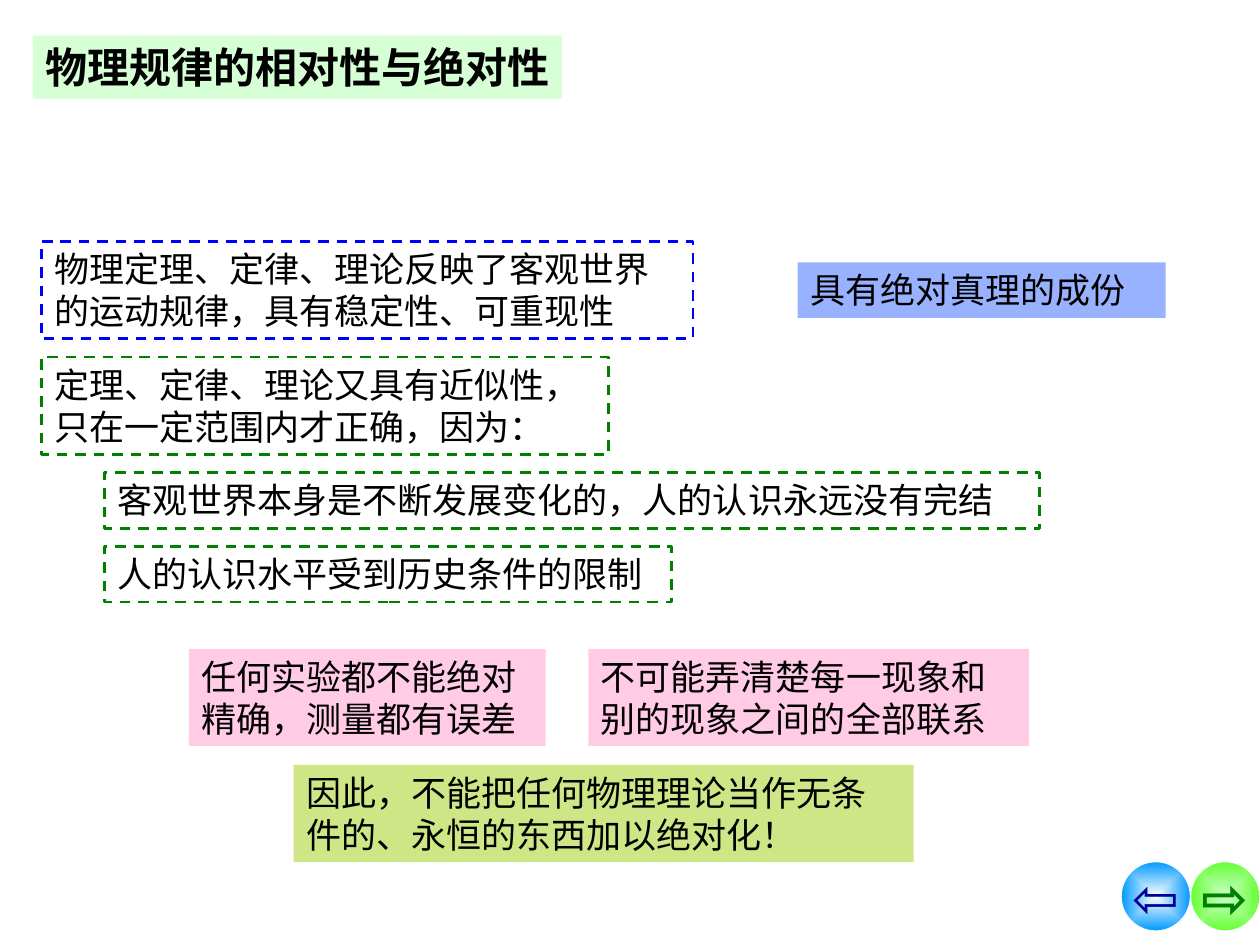
from lxml.etree import SubElement
from pptx import Presentation
from pptx.dml.color import RGBColor
from pptx.enum.dml import MSO_LINE
from pptx.enum.shapes import MSO_SHAPE
from pptx.enum.text import MSO_ANCHOR, PP_ALIGN
from pptx.oxml.ns import qn
from pptx.util import Cm, Pt

COLORS = {
    "black": "000000", "white": "FFFFFF", "mint": "CCFFCC", "lime": "66FF33",
    "sky": "0099FF", "navy": "000099", "blue": "0000FF", "green": "008000",
    "azure": "3366FF", "pink": "FF99CC", "olive": "99CC00",
}
ONE_LINE, TWO_LINES = 1.12, 1.96


def rgb(name):
    return RGBColor.from_string(COLORS[name])


def add_panel(slide, box, kind=MSO_SHAPE.RECTANGLE):
    """Add a plain shape without fill, line or shadow; box is in cm."""
    panel = slide.shapes.add_shape(kind, *(Cm(length) for length in box))
    panel.shadow.inherit = False
    panel.fill.background()
    panel.line.fill.background()
    return panel


def write(panel, text, size=20, font="Karla", color="black", bold=False,
          align=PP_ALIGN.LEFT, anchor=MSO_ANCHOR.TOP, wrap=True):
    frame = panel.text_frame
    frame.word_wrap = wrap
    frame.vertical_anchor = anchor
    paragraph = frame.paragraphs[0]
    paragraph.alignment = align
    run = paragraph.add_run()
    run.text = text
    run.font.size = Pt(size)
    run.font.name = font
    run.font.bold = bold
    run.font.color.rgb = rgb(color)


def tint(panel, color, opacity):
    """Fill with a colour at the given opacity in percent."""
    panel.fill.solid()
    panel.fill.fore_color.rgb = rgb(color)
    value = panel._element.spPr.find(qn("a:solidFill")).find(qn("a:srgbClr"))
    SubElement(value, qn("a:alpha"), val=str(opacity * 1000))


def glow(panel, center, edge):
    """Fill with a gradient that runs from the centre to the edge."""
    panel.fill.gradient()
    for stop, color, position in zip(panel.fill.gradient_stops, (center, edge), (0, 1)):
        stop.color.rgb = rgb(color)
        stop.position = position
    gradient = panel._element.spPr.find(qn("a:gradFill"))
    gradient.remove(gradient.find(qn("a:lin")))
    shade = SubElement(gradient, qn("a:path"), path="rect")
    SubElement(shade, qn("a:fillToRect"), l="50000", t="50000", r="50000", b="50000")


def outline(panel, color, width, dash=None):
    panel.line.color.rgb = rgb(color)
    panel.line.width = Pt(width)
    panel.line.dash_style = dash


def add_navigation(slide, left, top, size):
    buttons = [
        ("⇨", 1, "mint", "lime", "green", True),
        ("⇦", 0, "white", "sky", "navy", False),
    ]
    for arrow, column, center, edge, color, bold in buttons:
        button = add_panel(slide, (left + column * size, top, size, size), MSO_SHAPE.OVAL)
        glow(button, center, edge)
        outline(button, "white", 0.75)
        write(button, arrow, size=32, font="Arial", color=color, bold=bold,
              align=PP_ALIGN.CENTER, anchor=MSO_ANCHOR.MIDDLE, wrap=False)


def add_title(slide, box):
    title = add_panel(slide, box)
    tint(title, "mint", 80)
    write(title, "物理规律的相对性与绝对性", size=24, font="Arial", bold=True,
          anchor=MSO_ANCHOR.MIDDLE, wrap=False)


def add_dashed_statement(slide, box, text, color):
    statement = add_panel(slide, box)
    outline(statement, color, 1.5, MSO_LINE.DASH)
    write(statement, text)


def add_tinted_statement(slide, box, text, color, opacity=50):
    statement = add_panel(slide, box)
    tint(statement, color, opacity)
    write(statement, text)


def add_argument(slide, left, top):
    """Stack the dashed statements, with the remark beside the first."""
    gap, indent = 0.37, 1.27
    statements = [
        ("物理定理、定律、理论反映了客观世界的运动规律，具有稳定性、可重现性",
         0, 13.13, TWO_LINES, "blue"),
        ("定理、定律、理论又具有近似性，只在一定范围内才正确，因为：",
         0, 11.43, TWO_LINES, "green"),
        ("客观世界本身是不断发展变化的，人的认识永远没有完结",
         1, 18.85, ONE_LINE, "green"),
        ("人的认识水平受到历史条件的限制", 1, 11.43, ONE_LINE, "green"),
    ]
    remark_top = top + (TWO_LINES - ONE_LINE) / 2
    add_tinted_statement(slide, (left + 15.24, remark_top, 7.42, ONE_LINE),
                         "具有绝对真理的成份", "azure")
    for text, level, width, height, color in statements:
        add_dashed_statement(slide, (left + level * indent, top, width, height), text, color)
        top += height + gap


def add_conclusion(slide, left, top):
    """Place two reasons side by side and the conclusion below them."""
    add_tinted_statement(slide, (left, top, 7.19, TWO_LINES),
                         "任何实验都不能绝对精确，测量都有误差", "pink")
    add_tinted_statement(slide, (left + 8.05, top, 8.89, TWO_LINES),
                         "不可能弄清楚每一现象和别的现象之间的全部联系", "pink")
    add_tinted_statement(slide, (left + 2.11, top + 2.34, 12.5, TWO_LINES),
                         "因此，不能把任何物理理论当作无条件的、永恒的东西加以绝对化！",
                         "olive", 48)


def main():
    deck = Presentation()
    deck.slide_width, deck.slide_height = Cm(25.4), Cm(19.05)
    slide = deck.slides.add_slide(deck.slide_layouts[6])
    add_navigation(slide, 22.6, 17.37, 1.4)
    add_title(slide, (0.66, 0.72, 10.67, 1.27))
    add_argument(slide, 0.84, 4.87)
    add_conclusion(slide, 3.81, 13.08)
    deck.save("out.pptx")


if __name__ == "__main__":
    main()
